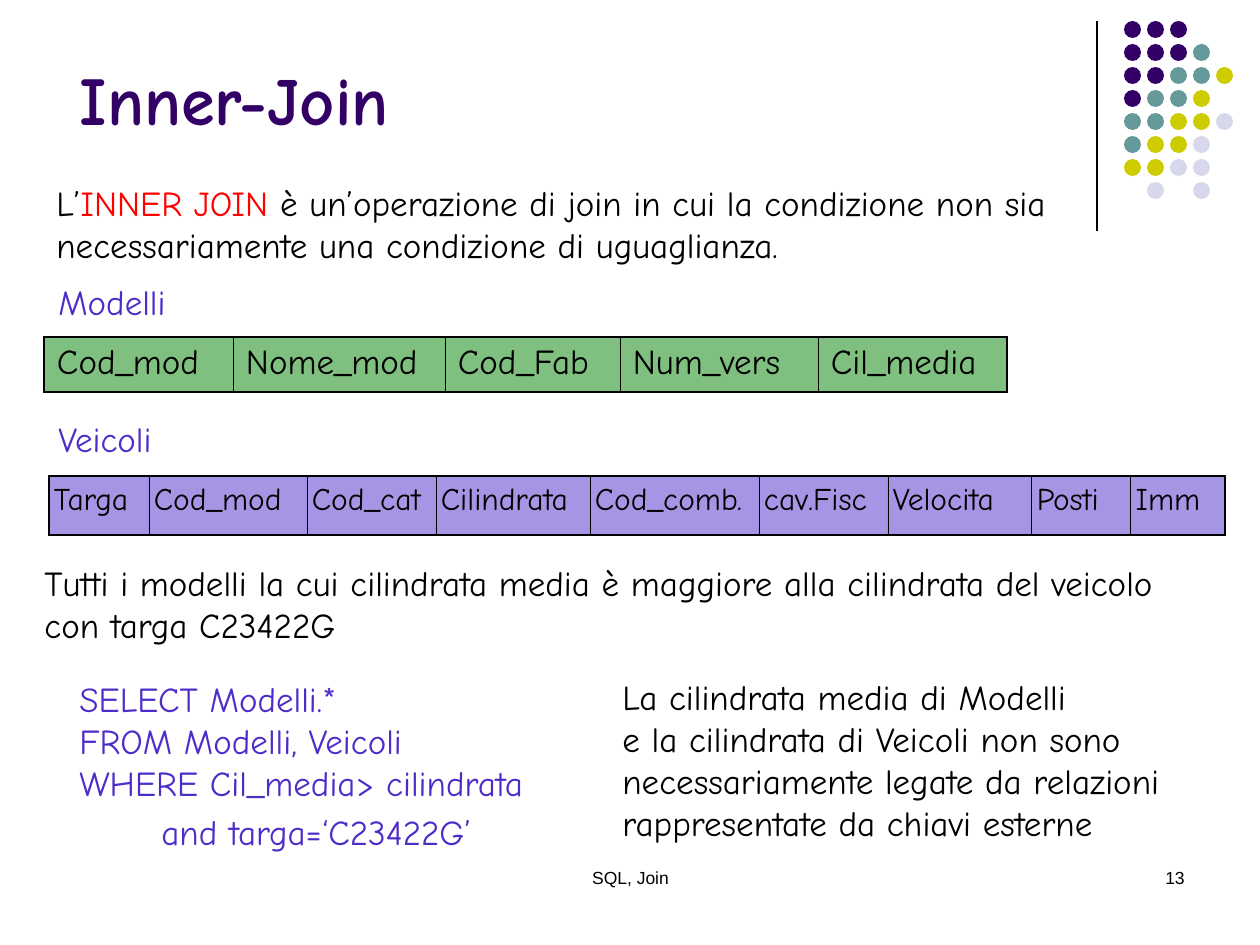
from dataclasses import dataclass

from lxml.etree import SubElement
from pptx import Presentation
from pptx.dml.color import RGBColor
from pptx.enum.shapes import MSO_CONNECTOR, MSO_SHAPE
from pptx.enum.text import MSO_ANCHOR, MSO_AUTO_SIZE, PP_ALIGN
from pptx.oxml import parse_xml
from pptx.oxml.ns import nsdecls, qn
from pptx.util import Emu, Pt

EMU_PER_PX = 914400 / 126

BLACK = RGBColor(0x00, 0x00, 0x00)
RED = RGBColor(0xFF, 0x00, 0x00)
GREEN = RGBColor(0x00, 0x80, 0x00)
VIOLET = RGBColor(0x4E, 0x2C, 0xCA)
INDIGO = RGBColor(0x33, 0x00, 0x66)
TEAL = RGBColor(0x66, 0x99, 0x99)
OLIVE = RGBColor(0xCC, 0xCC, 0x00)
LAVENDER = RGBColor(0xD8, 0xD8, 0xEC)

HAND_FONT = "Comic Neue"
FOOTER_FONT = "Arial"

DOT_COLORS = {"I": INDIGO, "T": TEAL, "O": OLIVE, "L": LAVENDER}
DOT_ROWS = ["III", "IIIT", "IITTO", "ITTO", "TTOOL", "TOOL", "OOLL", " L L"]
DOT_LEFT, DOT_TOP, DOT_SIZE, DOT_PITCH = 1124, 21, 17, 23

OUTER_BORDER, INNER_BORDER = Pt(1.08), Pt(0.45)


@dataclass(frozen=True)
class Span:
    text: str
    color: RGBColor = BLACK


@dataclass(frozen=True)
class TextBlock:
    left: int
    top: int
    width: int
    height: int
    paragraphs: list[list[Span]]
    size: int = 20
    font: str = HAND_FONT
    align: PP_ALIGN = PP_ALIGN.LEFT


@dataclass(frozen=True)
class Schema:
    left: int
    top: int
    height: int
    columns: dict[str, int]
    fill: RGBColor
    size: int
    space_before: float
    margin_left: int


INTRO = TextBlock(44, 175, 1208, 97, [[
    Span("L’"),
    Span("INNER JOIN", RED),
    Span(" è un’operazione di join in cui la condizione non sia "
         "necessariamente una condizione di uguaglianza."),
]])
MODELS_LABEL = TextBlock(46, 274, 150, 55, [[Span("Modelli", VIOLET)]])
VEHICLES_LABEL = TextBlock(46, 411, 150, 55, [[Span("Veicoli", VIOLET)]])
QUERY = TextBlock(67, 671, 490, 189, [
    [Span("SELECT Modelli.*", VIOLET)],
    [Span("FROM Modelli, Veicoli", VIOLET)],
    [Span("WHERE Cil_media> cilindrata", VIOLET)],
    [Span("and targa=‘C23422G’", VIOLET)],
])
REMARK = TextBlock(610, 669, 633, 181, [
    [Span("La cilindrata media di Modelli")],
    [Span("e la cilindrata di Veicoli non sono")],
    [Span("necessariamente legate da relazioni rappresentate da chiavi esterne")],
])
REQUEST = TextBlock(32, 555, 1154, 97, [[
    Span("Tutti i modelli la cui cilindrata media è maggiore alla "
         "cilindrata del veicolo con targa C23422G"),
]])
FOOTER = TextBlock(431, 861, 399, 63, [[Span("SQL, Join")]], 10, FOOTER_FONT, PP_ALIGN.CENTER)
PAGE_NUMBER = TextBlock(903, 861, 294, 63, [[Span("13")]], 10, FOOTER_FONT, PP_ALIGN.RIGHT)

MODELS = Schema(44, 337, 55, {
    "Cod_mod": 189, "Nome_mod": 212, "Cod_Fab": 175, "Num_vers": 198, "Cil_media": 189,
}, GREEN, 20, 5, 13)
VEHICLES = Schema(49, 476, 59, {
    "Targa": 100, "Cod_mod": 158, "Cod_cat": 129, "Cilindrata": 154, "Cod_comb.": 169,
    "cav.Fisc": 129, "Velocita": 144, "Posti": 99, "Imm": 94,
}, VIOLET, 18, 4.5, 5)


def px(length: int) -> Emu:
    return Emu(round(length * EMU_PER_PX))


def add_span(para, span: Span, size: int, font: str = HAND_FONT, bold: bool = False) -> None:
    run = para.add_run()
    run.text = span.text
    run.font.size = Pt(size)
    run.font.name = font
    run.font.bold = bold
    run.font.color.rgb = span.color


def set_title(page, text: str) -> None:
    title = page.shapes.title
    title.left, title.top, title.width, title.height = px(67), px(-34), px(1040), px(179)
    frame = title.text_frame
    frame.auto_size = MSO_AUTO_SIZE.NONE
    frame.vertical_anchor = MSO_ANCHOR.BOTTOM
    para = frame.paragraphs[0]
    para.alignment = PP_ALIGN.LEFT
    add_span(para, Span(text, INDIGO), 39, bold=True)


def add_text(page, block: TextBlock):
    box = page.shapes.add_textbox(px(block.left), px(block.top), px(block.width), px(block.height))
    frame = box.text_frame
    frame.word_wrap = True
    for index, spans in enumerate(block.paragraphs):
        para = frame.add_paragraph() if index else frame.paragraphs[0]
        para.alignment = block.align
        for span in spans:
            add_span(para, span, block.size, block.font)
    return box


def add_divider(page) -> None:
    line = page.shapes.add_connector(
        MSO_CONNECTOR.STRAIGHT, px(1097), px(21), px(1097), px(231))
    line.line.color.rgb = BLACK
    line.line.width = Pt(0.75)
    SubElement(line._element.spPr, qn("a:effectLst"))


def add_dots(page) -> None:
    for row, codes in enumerate(DOT_ROWS):
        for column, code in enumerate(codes):
            if code not in DOT_COLORS:
                continue
            dot = page.shapes.add_shape(
                MSO_SHAPE.OVAL, px(DOT_LEFT + column * DOT_PITCH),
                px(DOT_TOP + row * DOT_PITCH), px(DOT_SIZE), px(DOT_SIZE))
            dot.shadow.inherit = False
            dot.fill.solid()
            dot.fill.fore_color.rgb = DOT_COLORS[code]
            dot.line.fill.background()


def style_cell(cell, fill: RGBColor, is_first: bool, is_last: bool) -> None:
    """Give the cell a half-transparent fill and black borders."""
    cell.fill.solid()
    cell.fill.fore_color.rgb = fill
    properties = cell._tc.get_or_add_tcPr()
    color = properties.find(qn("a:solidFill")).find(qn("a:srgbClr"))
    SubElement(color, qn("a:alpha"), val="50000")
    widths = {
        "lnL": OUTER_BORDER if is_first else INNER_BORDER,
        "lnR": OUTER_BORDER if is_last else INNER_BORDER,
        "lnT": OUTER_BORDER,
        "lnB": OUTER_BORDER,
    }
    for index, (side, width) in enumerate(widths.items()):
        properties.insert(index, parse_xml(
            f'<a:{side} {nsdecls("a")} w="{width}"><a:solidFill>'
            f'<a:srgbClr val="{BLACK}"/></a:solidFill></a:{side}>'))


def add_schema(page, schema: Schema) -> None:
    count = len(schema.columns)
    table = page.shapes.add_table(
        1, count, px(schema.left), px(schema.top),
        px(sum(schema.columns.values())), px(schema.height)).table
    table.first_row = table.horz_banding = False
    for index, (name, width) in enumerate(schema.columns.items()):
        table.columns[index].width = px(width)
        cell = table.cell(0, index)
        cell.margin_left = px(schema.margin_left)
        para = cell.text_frame.paragraphs[0]
        para.space_before = Pt(schema.space_before)
        add_span(para, Span(name), schema.size)
        style_cell(cell, schema.fill, index == 0, index == count - 1)


def main() -> None:
    deck = Presentation()
    deck.slide_width, deck.slide_height = px(1260), px(945)
    page = deck.slides.add_slide(deck.slide_layouts[5])
    add_divider(page)
    add_dots(page)
    set_title(page, "Inner-Join")
    for block in (INTRO, MODELS_LABEL, VEHICLES_LABEL, REMARK, REQUEST, FOOTER, PAGE_NUMBER):
        add_text(page, block)
    for schema in (MODELS, VEHICLES):
        add_schema(page, schema)
    condition = add_text(page, QUERY).text_frame.paragraphs[-1]
    condition.space_before = Pt(4)
    condition._p.get_or_add_pPr().set("marL", str(px(82)))
    deck.save("out.pptx")


if __name__ == "__main__":
    main()
